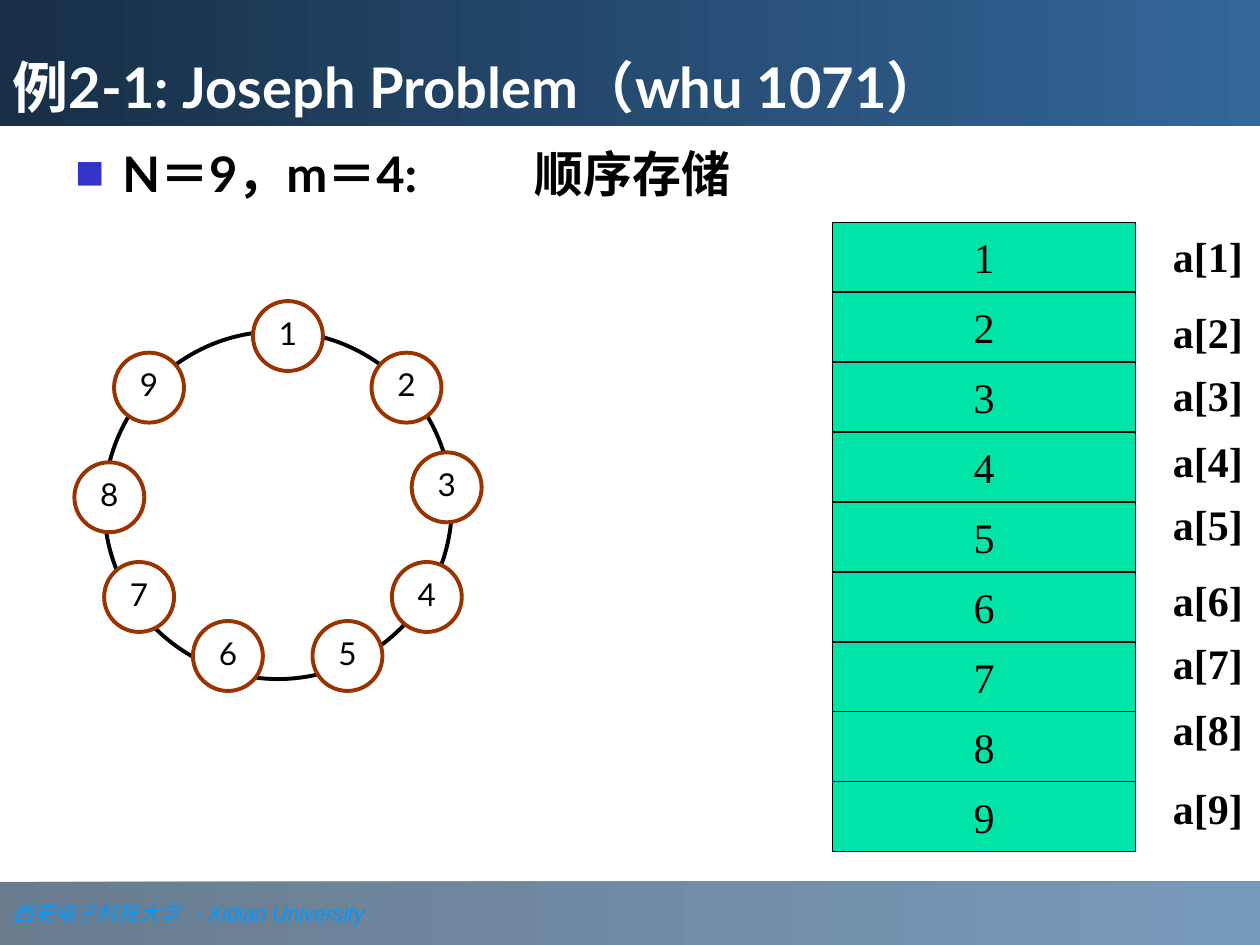
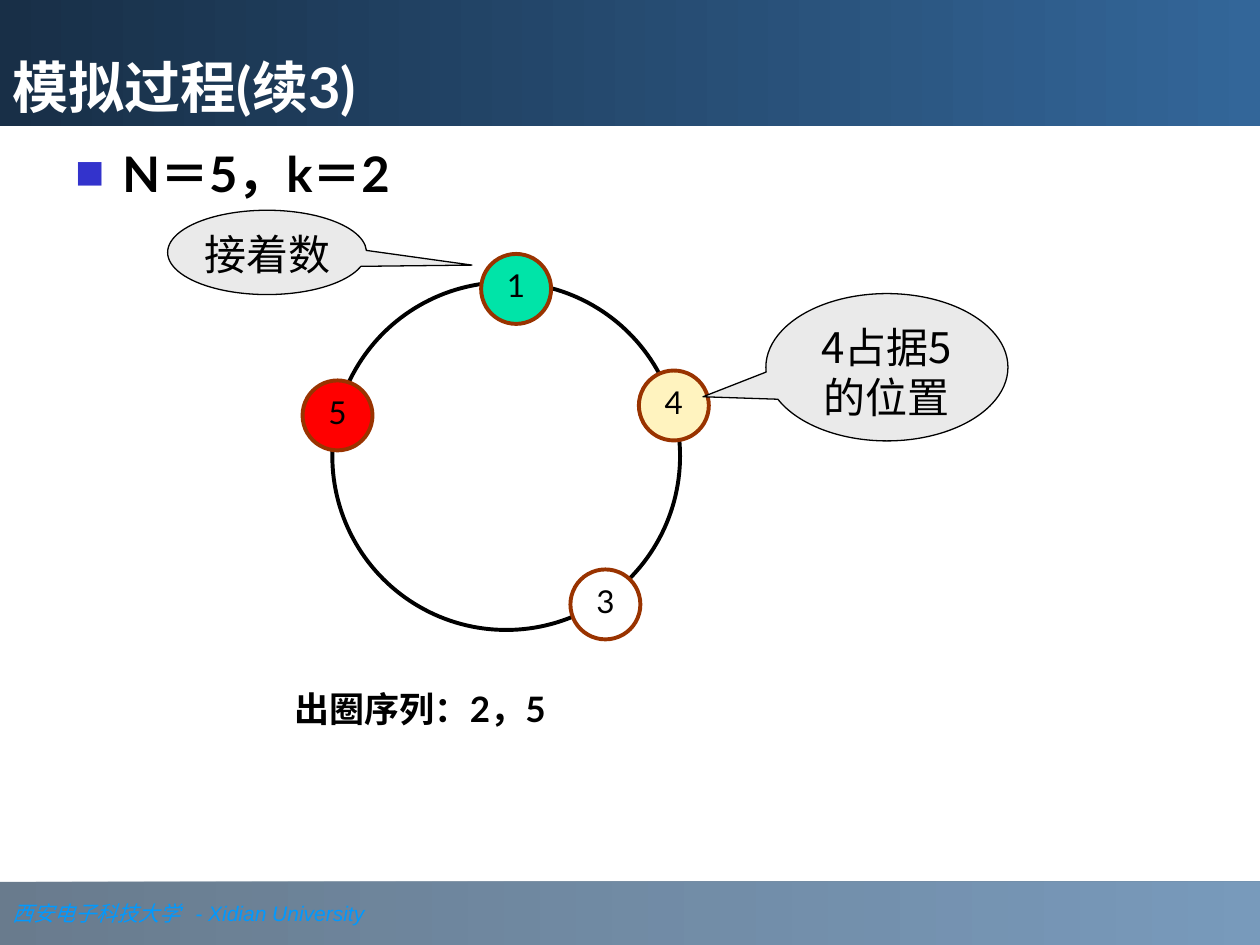
from lxml import etree
from pptx import Presentation
from pptx.dml.color import RGBColor
from pptx.enum.shapes import MSO_SHAPE
from pptx.enum.text import MSO_ANCHOR, MSO_AUTO_SIZE, PP_ALIGN
from pptx.oxml.ns import qn
from pptx.util import Cm, Pt

OVAL, RECT = MSO_SHAPE.OVAL, MSO_SHAPE.RECTANGLE
BUBBLE = MSO_SHAPE.OVAL_CALLOUT
LEFT, CENTER = PP_ALIGN.LEFT, PP_ALIGN.CENTER
TOP, MIDDLE, BOTTOM = MSO_ANCHOR.TOP, MSO_ANCHOR.MIDDLE, MSO_ANCHOR.BOTTOM
NO_AUTOFIT = MSO_AUTO_SIZE.NONE
TITLE_ONLY = 5

SANS, SERIF, CJK, ARIAL = "Lato", "Times New Roman", "Noto Sans CJK SC", "Arial"
BLACK, WHITE, GREEN, RED, CREAM = "000000", "FFFFFF", "00E4A8", "FF0000", "FFF3BF"
NODE_EDGE, BUBBLE_FILL, BULLET, FOOTER_TEXT = "993300", "EAEAEA", "3333CC", "0099FF"
TITLE_BAND, FOOTER_BAND = ("182F47", "336699"), ("1C3853", "336699")
SLIDE_W, SLIDE_H, BAND_H, FOOTER_H = 25.4, 19.05, 2.54, 1.27
RING_SIZE, NODE_SIZE = 7.01, 1.41


def rgb(color):
    return RGBColor.from_string(color)


def add_xml(parent, tag, **attributes):
    return etree.SubElement(parent, qn(tag), attributes)


def add_tab(paragraph, position):
    tabs = add_xml(paragraph._p.get_or_add_pPr(), "a:tabLst")
    add_xml(tabs, "a:tab", pos=str(Cm(position)), algn="l")


class JosephDeck:
    def __init__(self):
        self.prs = Presentation()
        self.prs.slide_width, self.prs.slide_height = Cm(SLIDE_W), Cm(SLIDE_H)
        self.layout = self.prs.slide_layouts[TITLE_ONLY]
        self.slide = None

    def start_slide(self, title):
        self.slide = self.prs.slides.add_slide(self.layout)
        if len(self.prs.slides) == 1:
            self.footer()
        band = self.slide.shapes.title
        band.left, band.top, band.width, band.height = 0, 0, Cm(SLIDE_W), Cm(BAND_H)
        self.gradient(band, TITLE_BAND)
        band.text_frame.auto_size = NO_AUTOFIT
        self.fill_text(band, title, 32, color=WHITE, bold=True, align=LEFT, anchor=BOTTOM)

    def footer(self):
        """Draw the footer band and hand it to the layout all slides share."""
        band = self.shape(RECT, 0, SLIDE_H - FOOTER_H, SLIDE_W, FOOTER_H)
        self.gradient(band, FOOTER_BAND, opacity=66)
        style = {"color": FOOTER_TEXT, "italic": True}
        paragraph = self.fill_text(band, "西安电子科技大学", 12, SERIF, align=LEFT, **style)
        add_tab(paragraph, 3.69)
        self.run(paragraph, "\t- Xidian University", 12, ARIAL, **style)
        self.layout.shapes.element.insert(2, band.element)

    def gradient(self, shape, colors, opacity=100):
        shape.fill.gradient()
        shape.fill.gradient_angle = 0
        for stop, color in zip(shape.fill.gradient_stops, colors):
            stop.color.rgb = rgb(color)
        if opacity < 100:
            for color in shape.element.spPr.iter(qn("a:srgbClr")):
                add_xml(color, "a:alpha", val=str(opacity * 1000))

    def run(self, paragraph, text, size, font=SANS, color=BLACK, bold=False, italic=False):
        run = paragraph.add_run()
        run.text = text
        run.font.name, run.font.size = font, Pt(size)
        run.font.bold, run.font.italic = bold, italic
        run.font.color.rgb = rgb(color)
        add_xml(run.font._element, "a:ea", typeface=CJK)

    def fill_text(self, shape, text, size, font=SANS, align=CENTER, anchor=MIDDLE,
                  spacing=None, wrap=True, **style):
        frame = shape.text_frame
        frame.word_wrap, frame.vertical_anchor = wrap, anchor
        paragraph = frame.paragraphs[0]
        paragraph.alignment, paragraph.line_spacing = align, spacing
        self.run(paragraph, text, size, font, **style)
        return paragraph

    def shape(self, kind, left, top, width, height, fill=None, line=None, weight=0.75):
        shape = self.slide.shapes.add_shape(kind, Cm(left), Cm(top), Cm(width), Cm(height))
        shape.shadow.inherit = False
        if fill:
            shape.fill.solid()
            shape.fill.fore_color.rgb = rgb(fill)
        else:
            shape.fill.background()
        if line:
            shape.line.color.rgb = rgb(line)
            shape.line.width = Pt(weight)
        else:
            shape.line.fill.background()
        return shape

    def text(self, text, left, top, width, height, size, font=SANS, align=LEFT, spacing=None):
        box = self.slide.shapes.add_textbox(Cm(left), Cm(top), Cm(width), Cm(height))
        return self.fill_text(box, text, size, font, align, TOP, spacing, bold=True)

    def heading(self, text, tab=None):
        """Add the bulleted line under the title; tab is the stop for a second part."""
        paragraph = self.text(text, 1.27, 2.77, 22.86, 2.34, 28)
        props = paragraph._p.get_or_add_pPr()
        props.set("marL", str(Cm(0.95)))
        props.set("indent", str(-Cm(0.95)))
        add_xml(add_xml(props, "a:buClr"), "a:srgbClr", val=BULLET)
        add_xml(props, "a:buSzPct", val="60000")
        add_xml(props, "a:buFont", typeface=CJK)
        add_xml(props, "a:buChar", char="■")
        if tab:
            add_tab(paragraph, tab)

    def ring(self, left, top):
        self.shape(OVAL, left, top, RING_SIZE, RING_SIZE, line=BLACK, weight=2.25)

    def node(self, number, left, top, fill=WHITE):
        node = self.shape(OVAL, left, top, NODE_SIZE, NODE_SIZE, fill, NODE_EDGE, 2.25)
        self.fill_text(node, str(number), 18, spacing=0.8, wrap=False)

    def array_cell(self, number, left, top, width, height):
        cell = self.shape(RECT, left, top, width, height, GREEN, BLACK)
        self.fill_text(cell, str(number), 24, SERIF, wrap=False)

    def callout(self, text, left, top, width, height, tip, margin=0):
        bubble = self.shape(BUBBLE, left, top, width, height, BUBBLE_FILL, BLACK)
        bubble.adjustments[0], bubble.adjustments[1] = tip
        bubble.text_frame.margin_left = bubble.text_frame.margin_right = Cm(margin)
        self.fill_text(bubble, text, 24, CJK, anchor=TOP)


def sequential_storage(deck):
    deck.start_slide("例2-1: Joseph Problem（whu 1071）")
    deck.heading("N＝9，m＝4:\t顺序存储", tab=9.26)
    deck.ring(2.1, 6.68)
    people = [(5.1, 6.07), (7.49, 7.11), (8.3, 9.12), (7.9, 11.33), (6.3, 12.52),
              (3.89, 12.52), (2.1, 11.33), (1.5, 9.32), (2.3, 7.11)]
    for number, (left, top) in enumerate(people, 1):
        deck.node(number, left, top)
    index_tops = [4.52, 6.05, 7.32, 8.66, 9.93, 11.46, 12.73, 14.05, 15.65]
    cell_h = 1.41
    for number, index_top in enumerate(index_tops, 1):
        deck.array_cell(number, 16.79, 4.48 + (number - 1) * cell_h, 6.1, cell_h)
        deck.text(f"a[{number}]", 23.3, index_top, 2.1, 1.27, 24, SERIF, CENTER)


def simulation_step(deck):
    deck.start_slide("模拟过程(续3)")
    deck.heading("N＝5，k＝2")
    deck.ring(6.7, 5.69)
    for number, left, top, fill in [(3, 11.5, 11.48, WHITE), (5, 6.1, 7.67, RED),
                                    (1, 9.7, 5.12, GREEN), (4, 12.88, 7.47, CREAM)]:
        deck.node(number, left, top, fill)
    deck.text("出圈序列：2，5", 5.69, 13.89, 9.19, 0.94, 20, spacing=0.8)
    deck.callout("接着数", 3.38, 4.24, 4.01, 1.7, (1.03, 0.15))
    deck.callout("4占据5的位置", 15.44, 5.92, 4.88, 2.97, (-0.76, 0.2), margin=0.05)


def main():
    deck = JosephDeck()
    sequential_storage(deck)
    simulation_step(deck)
    deck.prs.save("out.pptx")


if __name__ == "__main__":
    main()
